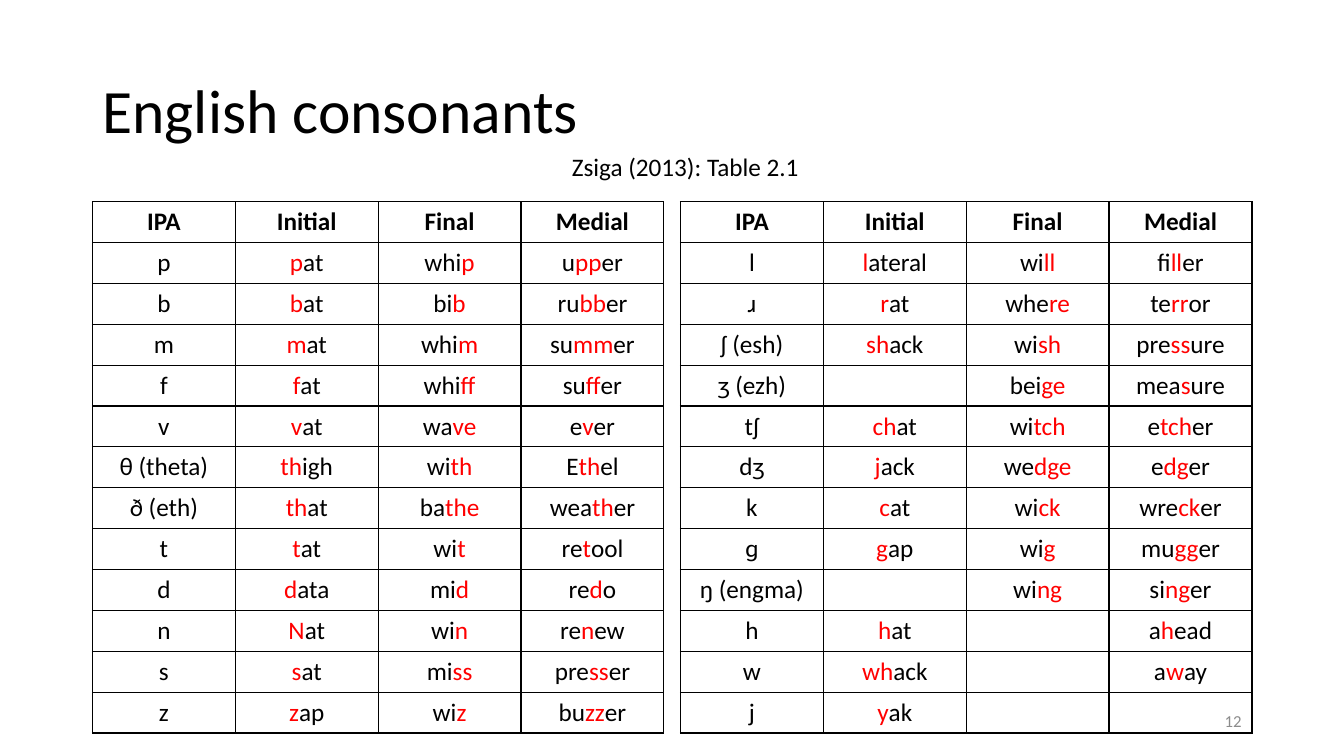
from lxml import etree
from pptx import Presentation
from pptx import util as u
from pptx.dml.color import RGBColor
from pptx.enum import text
from pptx.oxml import ns

BLACK = RGBColor(0, 0, 0)
RED = RGBColor(255, 0, 0)
GREY = RGBColor(0x8C, 0x8C, 0x8C)

HEAD = "IPA|Initial|Final|Medial"
# Letters between asterisks spell the consonant of the row.
LEFT = """p|*p*at|whi*p*|u*pp*er
b|*b*at|bi*b*|ru*bb*er
m|*m*at|whi*m*|su*mm*er
f|*f*at|whi*ff*|su*ff*er
v|*v*at|wa*ve*|e*v*er
θ (theta)|*th*igh|wi*th*|E*th*el
ð (eth)|*th*at|ba*the*|wea*th*er
t|*t*at|wi*t*|re*t*ool
d|*d*ata|mi*d*|re*d*o
n|*N*at|wi*n*|re*n*ew
s|*s*at|mi*ss*|pre*ss*er
z|*z*ap|wi*z*|bu*zz*er"""
RIGHT = """l|*l*ateral|wi*ll*|fi*ll*er
ɹ|*r*at|whe*re*|te*rr*or
ʃ (esh)|*sh*ack|wi*sh*|pre*ss*ure
ʒ (ezh)||bei*ge*|mea*s*ure
tʃ|*ch*at|wi*tch*|e*tch*er
dʒ|*j*ack|we*dge*|e*dg*er
k|*c*at|wi*ck*|wre*ck*er
ɡ|*g*ap|wi*g*|mu*gg*er
ŋ (engma)||wi*ng*|si*ng*er
h|*h*at||a*h*ead
w|*wh*ack||a*w*ay
j|*y*ak||"""


class Deck:
    font = "Calibri"
    col_w = u.Cm(3.6)
    row_h = u.Cm(1.03)

    def __init__(self):
        self.prs = Presentation()
        self.prs.slide_width = u.Cm(33.87)
        self.prs.slide_height = u.Cm(19.05)
        self.slide = self.prs.slides.add_slide(self.prs.slide_layouts[5])

    def add_runs(self, para, words, size=18, color=BLACK, bold=False):
        """Add runs, with the parts between asterisks in red."""
        for i, part in enumerate(words.split("*")):
            if part:
                run = para.add_run()
                run.text = part
                run.font.name = self.font
                run.font.size = u.Pt(size)
                run.font.bold = bold
                run.font.color.rgb = RED if i % 2 else color

    def title(self, words, box):
        head = self.slide.shapes.title
        head.left, head.top, head.width, head.height = map(u.Cm, box)
        head.text_frame.vertical_anchor = text.MSO_ANCHOR.MIDDLE
        para = head.text_frame.paragraphs[0]
        para.alignment = text.PP_ALIGN.LEFT
        para.line_spacing = 0.9
        self.add_runs(para, words, 44)

    def label(self, words, box, align, anchor=text.MSO_ANCHOR.TOP, **style):
        frame = self.slide.shapes.add_textbox(*map(u.Cm, box)).text_frame
        frame.word_wrap = True
        frame.vertical_anchor = anchor
        frame.paragraphs[0].alignment = align
        self.add_runs(frame.paragraphs[0], words, **style)

    def border(self, cell):
        props = cell._tc.get_or_add_tcPr()
        for side in ("a:lnL", "a:lnR", "a:lnT", "a:lnB"):
            line = etree.SubElement(props, ns.qn(side), w=str(u.Pt(1)))
            fill = etree.SubElement(line, ns.qn("a:solidFill"))
            etree.SubElement(fill, ns.qn("a:srgbClr"), val=str(BLACK))

    def table(self, body, left, top):
        rows = [line.split("|") for line in [HEAD] + body.split("\n")]
        count = len(rows[0])
        grid = self.slide.shapes.add_table(
            len(rows), count, u.Cm(left), u.Cm(top),
            self.col_w * count, self.row_h * len(rows)).table
        grid.first_row = grid.horz_banding = False
        for col in grid.columns:
            col.width = self.col_w
        for r, row in enumerate(rows):
            grid.rows[r].height = self.row_h
            for c, words in enumerate(row):
                cell = grid.cell(r, c)
                self.border(cell)
                cell.fill.background()
                para = cell.text_frame.paragraphs[0]
                para.alignment = text.PP_ALIGN.CENTER
                self.add_runs(para, words, bold=r == 0)


def main():
    deck = Deck()
    deck.title("English consonants", (2.33, 1.01, 29.21, 3.68))
    for body, left in ((LEFT, 2.33), (RIGHT, 17.15)):
        deck.table(body, left, 5.08)
    deck.label("Zsiga (2013): Table 2.1", (14.02, 3.69, 6.5, 1.03),
               text.PP_ALIGN.CENTER)
    deck.label("12", (23.92, 17.66, 7.62, 1.01), text.PP_ALIGN.RIGHT,
               text.MSO_ANCHOR.MIDDLE, size=12, color=GREY)
    deck.prs.save("out.pptx")


if __name__ == "__main__":
    main()
